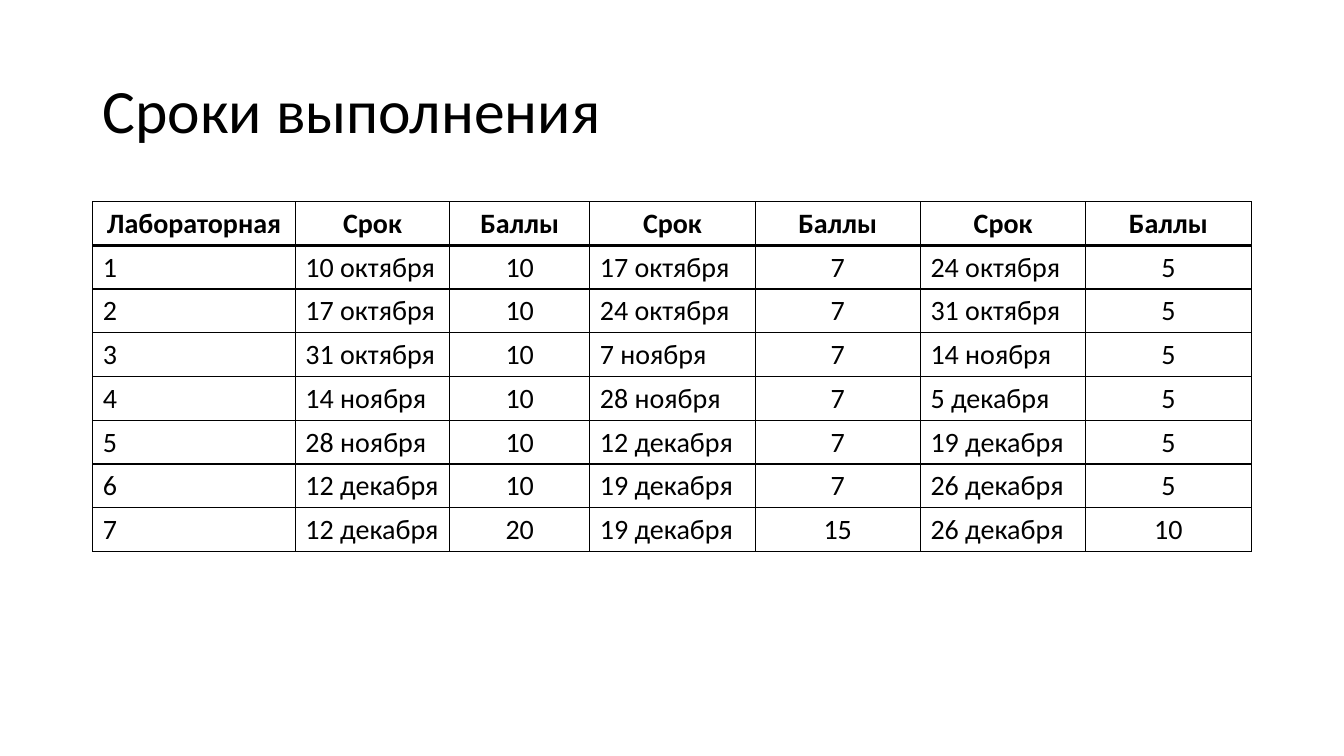
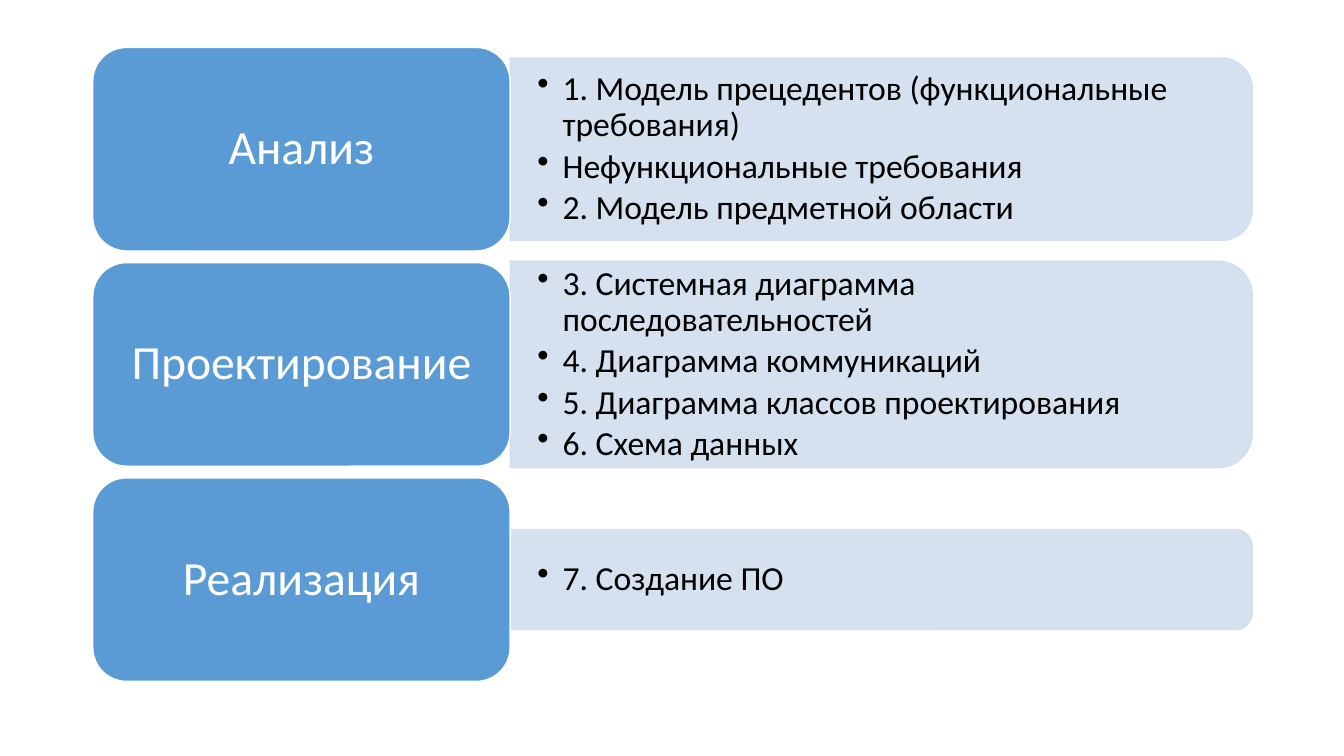
import pptx
import pptx.util
import pptx.dml.color
import pptx.enum.shapes
import pptx.enum.text
import pptx.oxml.ns
import lxml.etree

# Content
TITLE = "Сроки выполнения"
HEAD = ["Лабораторная"] + ["Срок", "Баллы"] * 3
ROWS = [
    ("1", "10 октября", "10", "17 октября", "7", "24 октября", "5"),
    ("2", "17 октября", "10", "24 октября", "7", "31 октября", "5"),
    ("3", "31 октября", "10", "7 ноября", "7", "14 ноября", "5"),
    ("4", "14 ноября", "10", "28 ноября", "7", "5 декабря", "5"),
    ("5", "28 ноября", "10", "12 декабря", "7", "19 декабря", "5"),
    ("6", "12 декабря", "10", "19 декабря", "7", "26 декабря", "5"),
    ("7", "12 декабря", "20", "19 декабря", "15", "26 декабря", "10"),
]
STAGES = [
    ("Анализ", 1.81, [
        "1. Модель прецедентов (функциональные требования)",
        "Нефункциональные требования",
        "2. Модель предметной области"]),
    ("Проектирование", 2.05, [
        "3. Системная диаграмма последовательностей",
        "4. Диаграмма коммуникаций",
        "5. Диаграмма классов проектирования",
        "6. Схема данных"]),
    ("Реализация", 0.99, ["7. Создание ПО"]),
]

# Shared style
Inches, Pt = pptx.util.Inches, pptx.util.Pt
RGBColor = pptx.dml.color.RGBColor
BLACK = RGBColor(0, 0, 0)
WHITE = RGBColor(255, 255, 255)
BLUE = RGBColor(0x5B, 0x9B, 0xD5)
PALE = RGBColor(0xD2, 0xDE, 0xEF)
FONT = "Calibri"
LEFT, WIDTH = 0.92, 11.5
FORM = pptx.enum.shapes.MSO_SHAPE
ALIGN = pptx.enum.text.PP_ALIGN
MIDDLE = pptx.enum.text.MSO_ANCHOR.MIDDLE


def add_xml(parent, tag, **attrs):
    node = lxml.etree.SubElement(parent, pptx.oxml.ns.qn(tag))
    for key, val in attrs.items():
        node.set(key, str(val))
    return node


def write(frame, lines, size=20, color=BLACK, bold=False, align=ALIGN.LEFT,
          space=None, after=0, bullet=False, pad=None):
    frame.word_wrap = True
    if pad:
        frame.margin_left = frame.margin_right = Inches(pad[0])
        frame.margin_top = frame.margin_bottom = Inches(pad[1])
    for i, line in enumerate(lines):
        para = frame.add_paragraph() if i else frame.paragraphs[0]
        para.alignment = align
        if space:
            para.line_spacing = space
            para.space_after = Pt(after)
        if bullet:
            props = para._p.get_or_add_pPr()
            props.set("marL", str(Inches(0.25)))
            props.set("indent", str(-Inches(0.25)))
            add_xml(props, "a:buChar", char="•")
        run = para.add_run()
        run.text = line
        font = run.font
        font.name, font.size, font.bold = FONT, Pt(size), bold
        font.color.rgb = color


def add_text(slide, box, lines, **style):
    frame = slide.shapes.add_textbox(*map(Inches, box)).text_frame
    frame.vertical_anchor = MIDDLE
    write(frame, lines, space=0.9, **style)


def add_form(slide, form, box, fill, line):
    shape = slide.shapes.add_shape(form, *map(Inches, box))
    shape.shadow.inherit = False
    shape.fill.solid()
    shape.fill.fore_color.rgb = fill
    shape.line.color.rgb = line
    shape.line.width = Pt(1)
    return shape


def set_edges(cell, **widths):
    props = cell._tc.get_or_add_tcPr()
    for side in "LRTB":
        edge = add_xml(props, "a:ln" + side, w=Pt(widths.get(side, 1)))
        paint = add_xml(edge, "a:solidFill")
        add_xml(paint, "a:srgbClr", val=BLACK)


deck = pptx.Presentation()
deck.slide_width, deck.slide_height = Inches(13.33), Inches(7.5)
blank = deck.slide_layouts[6]

# Slide 1: table of deadlines
slide = deck.slides.add_slide(blank)
add_text(slide, (LEFT, 0.4, WIDTH, 1.45), [TITLE], size=44)
grid = [HEAD] + ROWS
table = slide.shapes.add_table(
    len(grid), len(HEAD), Inches(LEFT), Inches(2), Inches(WIDTH), Inches(3.47)).table
table.first_row = table.horz_banding = False
for col, wide in zip(table.columns, [2.01, 1.53, 1.39] + [1.64] * 4):
    col.width = Inches(wide)
for r, row in enumerate(grid):
    for c, word in enumerate(row):
        cell = table.cell(r, c)
        top = r == 0
        score = c > 0 and c % 2 == 0
        write(cell.text_frame, [word], bold=top,
              align=ALIGN.CENTER if top or score else ALIGN.LEFT)
        if top:
            cell.vertical_anchor = MIDDLE
        set_edges(cell, B=2 if top else 1, T=2 if r == 1 else 1)
        cell.fill.background()

# Slide 2: stages with their tasks
slide = deck.slides.add_slide(blank)
CARD_W, CARD_H, TOP, STEP = 4.14, 2.02, 0.47, 2.135
edge = LEFT + CARD_W
wide = WIDTH - CARD_W
for i, (name, tall, tasks) in enumerate(STAGES):
    top = TOP + i * STEP
    mid = top + CARD_H / 2
    # Panel stands upright, then turns so its round corners face right
    box = (edge + (wide - tall) / 2, mid - wide / 2, tall, wide)
    panel = add_form(slide, FORM.ROUND_2_SAME_RECTANGLE, box, PALE, PALE)
    panel.rotation = 90
    for tint in panel._element.spPr.iter(pptx.oxml.ns.qn("a:srgbClr")):
        add_xml(tint, "a:alpha", val=90000)
    # Text keeps clear of the round corners
    inset = 0.05 * tall
    add_text(slide, (edge, mid - tall / 2 + inset, wide - inset, tall - 2 * inset),
             tasks, size=24, after=3.6, bullet=True, pad=(0.27, 0.14))
    card = add_form(slide, FORM.ROUNDED_RECTANGLE, (LEFT, top, CARD_W, CARD_H),
                    BLUE, WHITE)
    card.text_frame.vertical_anchor = MIDDLE
    write(card.text_frame, [name], size=34, color=WHITE, align=ALIGN.CENTER,
          space=0.9, pad=(0.14, 0.07))

deck.save("out.pptx")
